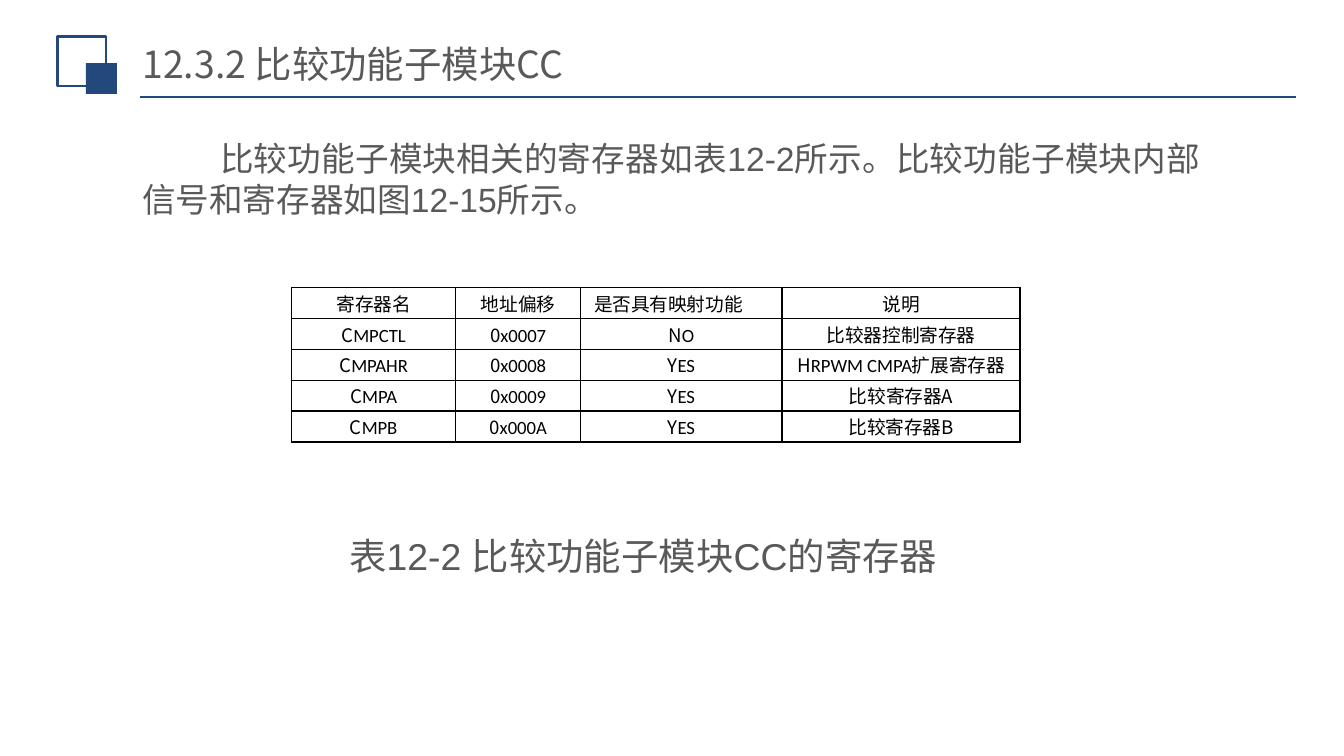
from lxml.etree import SubElement
from pptx import Presentation
from pptx.dml.color import RGBColor
from pptx.enum.shapes import MSO_CONNECTOR, MSO_SHAPE
from pptx.enum.text import MSO_ANCHOR, PP_ALIGN
from pptx.oxml.ns import qn
from pptx.util import Inches, Pt

NAVY, GREY, BLACK = "23487C", "595959", "000000"
CJK, LATIN, TABLE_LATIN = "Noto Sans CJK SC", "Arial", "Calibri"

TITLE = "12.3.2 比较功能子模块CC"
INTRO = "比较功能子模块相关的寄存器如表12-2所示。比较功能子模块内部信号和寄存器如图12-15所示。"
CAPTION = "表12-2 比较功能子模块CC的寄存器"
# A bar switches between the CJK font and the table's Latin font.
REGISTERS = [
    ("寄存器名", "地址偏移", "是否具有映射功能", "说明"),
    ("C|MPCTL", "0|x0007", "N|O", "比较器控制寄存器"),
    ("C|MPAHR", "0|x0008", "Y|ES", "H|RPWM CMPA|扩展寄存器"),
    ("C|MPA", "0|x0009", "Y|ES", "比较寄存器A"),
    ("C|MPB", "0|x000A", "Y|ES", "比较寄存器B"),
]
COLUMN_WIDTHS = (1.22, 0.93, 1.5, 1.77)
ROW_HEIGHT = 0.23


def rgb(color):
    return RGBColor.from_string(color)


def box(left, top, width, height):
    return tuple(Inches(length) for length in (left, top, width, height))


def format_run(run, size, font, color):
    run.font.size = Pt(size)
    run.font.name = font
    run.font.color.rgb = rgb(color)
    SubElement(run.font._element, qn("a:ea")).set("typeface", CJK)


def add_justified_text(slide, text, place, size):
    frame = slide.shapes.add_textbox(*box(*place)).text_frame
    frame.word_wrap = True
    paragraph = frame.paragraphs[0]
    paragraph.text = text
    paragraph.alignment = PP_ALIGN.JUSTIFY
    format_run(paragraph.runs[0], size, LATIN, GREY)
    return paragraph


def add_square(slide, place):
    square = slide.shapes.add_shape(MSO_SHAPE.RECTANGLE, *box(*place))
    square.shadow.inherit = False
    return square


def add_borders(cell):
    properties = cell._tc.get_or_add_tcPr()
    for position, side in enumerate(("a:lnL", "a:lnR", "a:lnT", "a:lnB")):
        border = properties.makeelement(qn(side), {"w": str(Pt(1))})
        fill = SubElement(border, qn("a:solidFill"))
        SubElement(fill, qn("a:srgbClr")).set("val", BLACK)
        properties.insert(position, border)


def fill_cell(cell, text):
    cell.fill.background()
    cell.vertical_anchor = MSO_ANCHOR.MIDDLE
    cell.margin_left = cell.margin_right = Inches(0.07)
    cell.margin_top = cell.margin_bottom = 0
    paragraph = cell.text_frame.paragraphs[0]
    paragraph.alignment = PP_ALIGN.CENTER
    for index, part in enumerate(text.split("|")):
        run = paragraph.add_run()
        run.text = part
        format_run(run, 10, TABLE_LATIN if index % 2 else CJK, BLACK)
    add_borders(cell)


def add_register_table(slide, left, top):
    place = box(left, top, sum(COLUMN_WIDTHS), ROW_HEIGHT * len(REGISTERS))
    table = slide.shapes.add_table(len(REGISTERS), len(COLUMN_WIDTHS), *place).table
    table.first_row = table.horz_banding = False
    for column, width in zip(table.columns, COLUMN_WIDTHS):
        column.width = Inches(width)
    for row, register in enumerate(REGISTERS):
        table.rows[row].height = Inches(ROW_HEIGHT)
        for column, text in enumerate(register):
            fill_cell(table.cell(row, column), text)
    mapping_header = table.cell(0, 2)
    mapping_header.margin_left = Inches(0.1)
    mapping_header.text_frame.paragraphs[0].alignment = PP_ALIGN.LEFT


def main():
    deck = Presentation()
    deck.slide_width = Inches(10)
    deck.slide_height = deck.slide_width * 9 // 16
    slide = deck.slides.add_slide(deck.slide_layouts[5])

    rule = slide.shapes.add_connector(
        MSO_CONNECTOR.STRAIGHT, *box(1.04, 0.72, 9.64, 0.72))
    rule.line.color.rgb = rgb(NAVY)
    rule.line.width = Pt(1.25)
    SubElement(rule._element.spPr, qn("a:effectLst"))

    outlined = add_square(slide, (0.43, 0.27, 0.36, 0.37))
    outlined.fill.background()
    outlined.line.color.rgb = rgb(NAVY)
    outlined.line.width = Pt(1.5)
    solid = add_square(slide, (0.64, 0.47, 0.23, 0.23))
    solid.fill.solid()
    solid.fill.fore_color.rgb = rgb(NAVY)
    solid.line.fill.background()

    title = slide.shapes.title
    title.left, title.top, title.width, title.height = box(0.99, 0.29, 6.45, 0.36)
    frame = title.text_frame
    frame.text = TITLE
    frame.vertical_anchor = MSO_ANCHOR.MIDDLE
    frame.margin_left = frame.margin_right = Inches(0.07)
    frame.margin_top = frame.margin_bottom = Inches(0.04)
    frame.paragraphs[0].alignment = PP_ALIGN.LEFT
    format_run(frame.paragraphs[0].runs[0], 20, CJK, GREY)

    intro = add_justified_text(slide, INTRO, (0.96, 0.98, 8.07, 0.71), 18)
    intro._p.get_or_add_pPr().set("indent", str(Inches(0.58)))
    add_justified_text(slide, CAPTION, (2.5, 3.92, 4.76, 0.44), 20)
    add_register_table(slide, 2.17, 2.14)

    deck.save("out.pptx")


if __name__ == "__main__":
    main()
